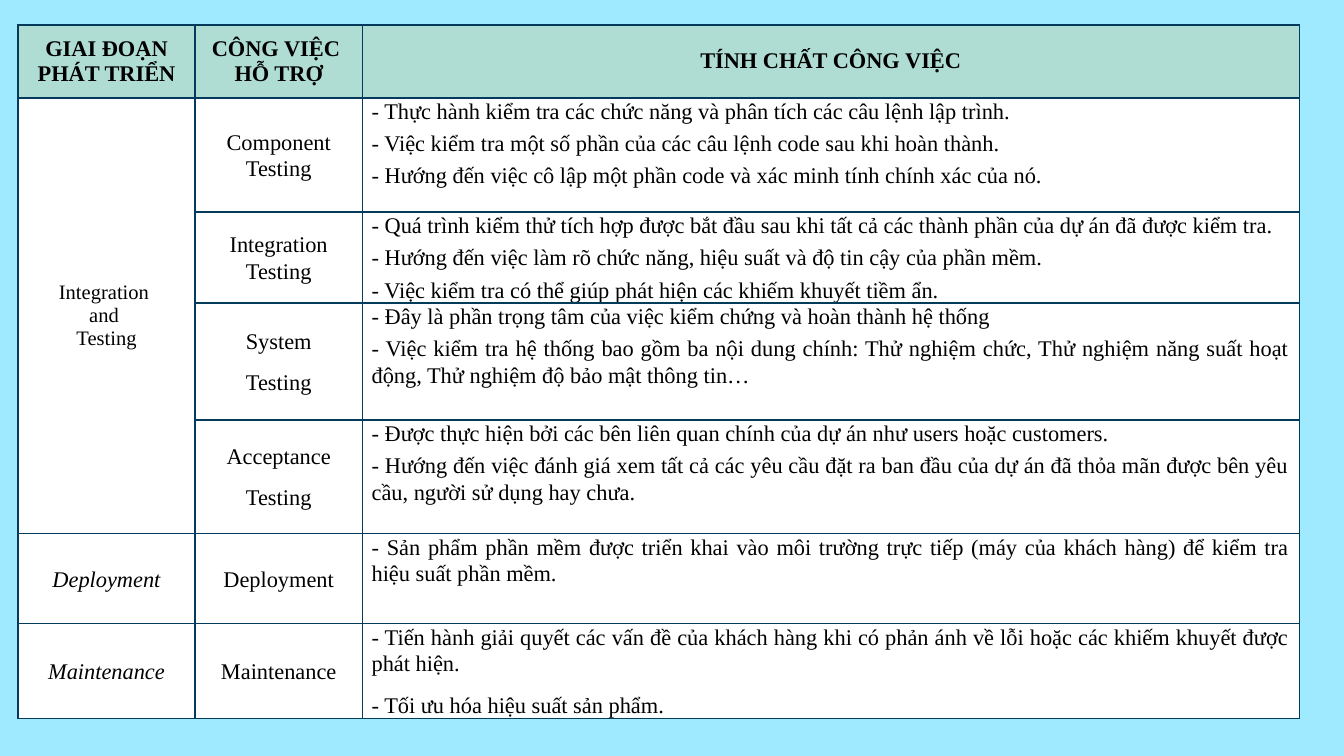
from dataclasses import dataclass

from lxml import etree
from pptx import Presentation
from pptx.dml.color import RGBColor
from pptx.enum.text import MSO_ANCHOR, PP_ALIGN
from pptx.oxml.ns import qn
from pptx.table import Table, _Cell
from pptx.util import Pt

CENTER, JUSTIFY = PP_ALIGN.CENTER, PP_ALIGN.JUSTIFY
TOP, MIDDLE = MSO_ANCHOR.TOP, MSO_ANCHOR.MIDDLE


@dataclass(frozen=True)
class Theme:
    background: str = "9FEAFF"
    header: str = "AFDDD3"
    body: str = "FFFFFF"
    border: str = "043A5B"
    text: str = "000000"
    font: str = "Times New Roman"
    size: float = 12
    small_size: float = 11
    border_width: float = 1


@dataclass(frozen=True)
class CellStyle:
    fill: str
    align: PP_ALIGN = CENTER
    anchor: MSO_ANCHOR = MIDDLE
    size: float = 12
    bold: bool = False
    italic: bool = False
    side_margin: float = 7.2
    end_margin: float = 3.6
    line_spacing: float = 1
    space_after: float = 0


@dataclass(frozen=True)
class Task:
    stage: list[str]
    names: list[str]
    traits: list[str]
    height: float
    trait_gap: float = 3


THEME = Theme()
COMPACT = dict(fill=THEME.body, side_margin=5, end_margin=0, line_spacing=1.07)
HEADER = CellStyle(THEME.header, size=THEME.size, bold=True)
MERGED_STAGE = CellStyle(THEME.body, size=THEME.small_size)
STAGE = CellStyle(**COMPACT, size=THEME.size, italic=True, space_after=8)
NAME = CellStyle(**COMPACT, size=THEME.size, space_after=8)

LEFT, TABLE_TOP, TABLE_HEIGHT = 9.6, 13.4, 377.2
COLUMN_WIDTHS = [95, 89.5, 502]
HEADER_HEIGHT = 39
HEADINGS = [["GIAI ĐOẠN", "PHÁT TRIỂN"], ["CÔNG VIỆC ", "HỖ TRỢ"], ["TÍNH CHẤT CÔNG VIỆC"]]
TASKS = [
    Task(["Integration ", "and ", "Testing"], ["Component Testing"], [
        "- Thực hành kiểm tra các chức năng và phân tích các câu lệnh lập trình. ",
        "- Việc kiểm tra một số phần của các câu lệnh code sau khi hoàn thành.",
        "- Hướng đến việc cô lập một phần code và xác minh tính chính xác của nó.   ",
    ], 61.3),
    Task([], ["Integration Testing"], [
        "- Quá trình kiểm thử tích hợp được bắt đầu sau khi tất cả các thành phần của dự án đã được kiểm tra.",
        "- Hướng đến việc làm rõ chức năng, hiệu suất và độ tin cậy của phần mềm.",
        "- Việc kiểm tra có thể giúp phát hiện các khiếm khuyết tiềm ẩn.",
    ], 42),
    Task([], ["System", "Testing"], [
        "- Đây là phần trọng tâm của việc kiểm chứng và hoàn thành hệ thống",
        "- Việc kiểm tra hệ thống bao gồm ba nội dung chính: Thử nghiệm chức, "
        "Thử nghiệm năng suất hoạt động, Thử nghiệm độ bảo mật thông tin…",
    ], 62.5),
    Task([], ["Acceptance", "Testing"], [
        "- Được thực hiện bởi các bên liên quan chính của dự án như users hoặc customers.",
        "- Hướng đến việc đánh giá xem tất cả các yêu cầu đặt ra ban đầu của dự án "
        "đã thỏa mãn được bên yêu cầu, người sử dụng hay chưa.",
    ], 61),
    Task(["Deployment"], ["Deployment"], [
        "- Sản phẩm phần mềm được triển khai vào môi trường trực tiếp "
        "(máy của khách hàng) để kiểm tra hiệu suất phần mềm.",
    ], 48.3, 8),
    Task(["Maintenance"], ["Maintenance"], [
        "- Tiến hành giải quyết các vấn đề của khách hàng khi có phản ánh về lỗi "
        "hoặc các khiếm khuyết được phát hiện.",
        "- Tối ưu hóa hiệu suất sản phẩm.",
    ], 48.3, 8),
]
MERGED_ROWS = 4


def format_cell(cell: _Cell, fill: str) -> None:
    cell.fill.solid()
    cell.fill.fore_color.rgb = RGBColor.from_string(fill)
    properties = cell._tc.get_or_add_tcPr()
    for index, side in enumerate(("lnL", "lnR", "lnT", "lnB")):
        line = etree.Element(qn(f"a:{side}"), w=str(Pt(THEME.border_width)))
        solid = etree.SubElement(line, qn("a:solidFill"))
        etree.SubElement(solid, qn("a:srgbClr"), val=THEME.border)
        properties.insert(index, line)


def write_cell(cell: _Cell, lines: list[str], style: CellStyle) -> None:
    format_cell(cell, style.fill)
    cell.vertical_anchor = style.anchor
    cell.margin_left = cell.margin_right = Pt(style.side_margin)
    cell.margin_top = cell.margin_bottom = Pt(style.end_margin)
    frame = cell.text_frame
    for index, line in enumerate(lines):
        paragraph = frame.add_paragraph() if index else frame.paragraphs[0]
        paragraph.alignment = style.align
        paragraph.line_spacing = style.line_spacing
        paragraph.space_after = Pt(style.space_after)
        run = paragraph.add_run()
        run.text = line
        run.font.name = THEME.font
        run.font.size = Pt(style.size)
        run.font.bold = style.bold
        run.font.italic = style.italic
        run.font.color.rgb = RGBColor.from_string(THEME.text)


def write_task(table: Table, row: int, task: Task) -> None:
    stage_style = MERGED_STAGE if row <= MERGED_ROWS else STAGE
    trait_style = CellStyle(**COMPACT, size=THEME.size, align=JUSTIFY, anchor=TOP,
                            space_after=task.trait_gap)
    write_cell(table.cell(row, 0), task.stage, stage_style)
    write_cell(table.cell(row, 1), task.names, NAME)
    write_cell(table.cell(row, 2), task.traits, trait_style)


def main() -> None:
    presentation = Presentation()
    presentation.slide_width, presentation.slide_height = Pt(720), Pt(405)
    slide = presentation.slides.add_slide(presentation.slide_layouts[6])
    slide.background.fill.solid()
    slide.background.fill.fore_color.rgb = RGBColor.from_string(THEME.background)

    table_shape = slide.shapes.add_table(
        len(TASKS) + 1, len(COLUMN_WIDTHS),
        Pt(LEFT), Pt(TABLE_TOP), Pt(sum(COLUMN_WIDTHS)), Pt(TABLE_HEIGHT))
    table = table_shape.table
    for column, width in zip(table.columns, COLUMN_WIDTHS):
        column.width = Pt(width)
    for row, height in zip(table.rows, [HEADER_HEIGHT] + [task.height for task in TASKS]):
        row.height = Pt(height)
    table_shape.height = Pt(TABLE_HEIGHT)

    table.cell(1, 0).merge(table.cell(MERGED_ROWS, 0))
    for column, heading in enumerate(HEADINGS):
        write_cell(table.cell(0, column), heading, HEADER)
    for row, task in enumerate(TASKS, start=1):
        write_task(table, row, task)
    presentation.save("out.pptx")


if __name__ == "__main__":
    main()
